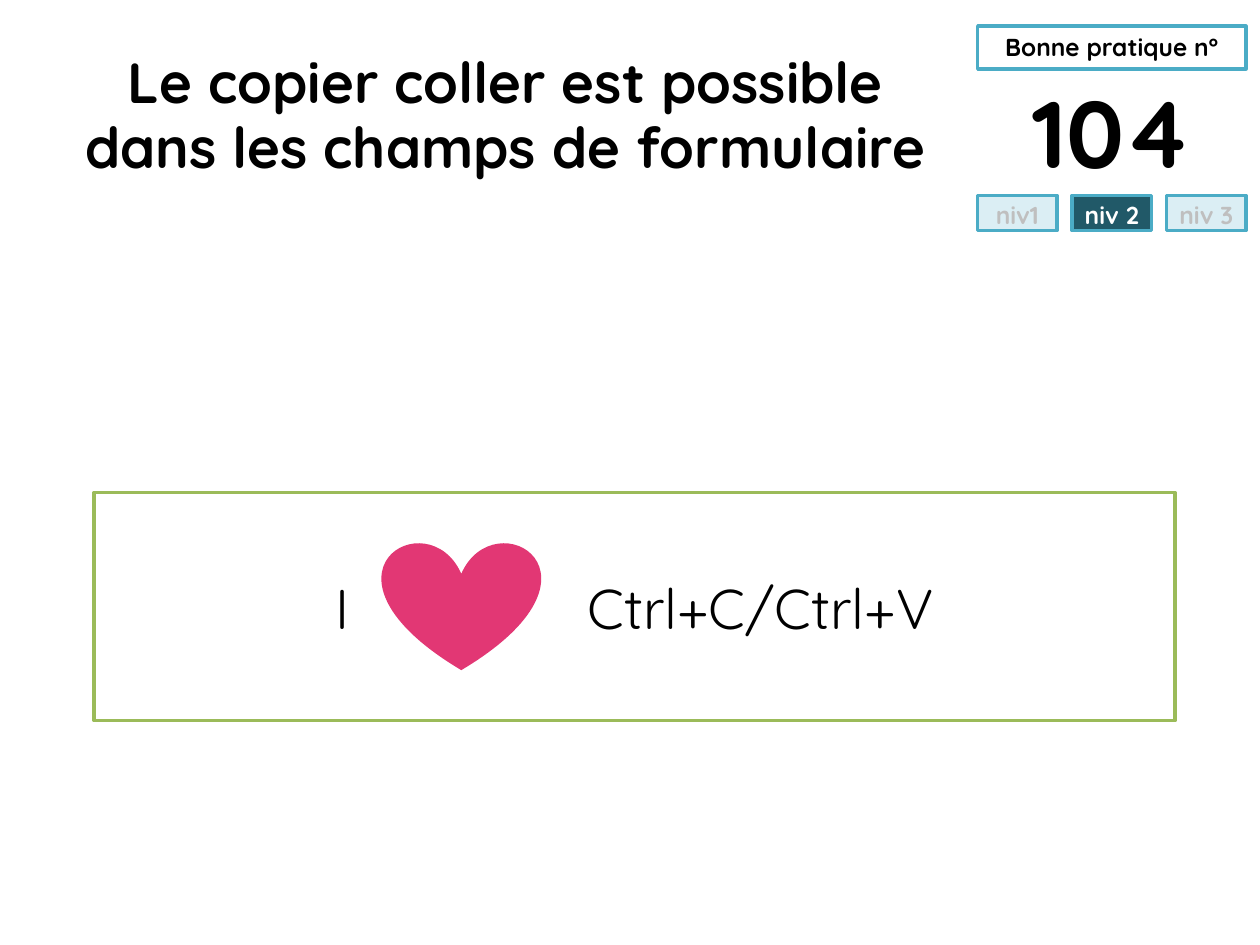
import pptx
import pptx.util
import pptx.dml.color
import pptx.enum.shapes
import pptx.enum.text
import pptx.oxml.ns
from lxml import etree

Cm, Pt = pptx.util.Cm, pptx.util.Pt
SHAPE = pptx.enum.shapes.MSO_SHAPE
ANCHOR = pptx.enum.text.MSO_ANCHOR

# Content
TITLE = "Le copier coller est possible dans les champs de formulaire"
BADGE_LABEL = "Bonne pratique n°"
BADGE_NUMBER = "104"
LEVELS = ["niv1", "niv 2", "niv 3"]
ACTIVE_LEVEL = "niv 2"
MESSAGE = "I\tCtrl+C/Ctrl+V"

THEME = {
    "font": "Quicksand",
    "text": "000000", "paper": "FFFFFF", "badge": "4BACC6",
    "level_on": "215968", "level_off": "DBEEF4", "level_off_text": "BFBFBF",
    "frame": "9BBB59", "heart": "E23774",
    "title_size": 32.4, "number_size": 54, "message_size": 32, "label_size": 14,
}

# Layout in centimetres
BADGE_LEFT, BADGE_WIDTH = 19.71, 5.41
LEVEL_WIDTH = 1.6
LEVEL_STEP = (BADGE_WIDTH - LEVEL_WIDTH) / (len(LEVELS) - 1)
MESSAGE_TAB = 5.08


def rgb(name):
    return pptx.dml.color.RGBColor.from_string(THEME[name])


def add_box(s, box, fill=None, line=None, shape=SHAPE.RECTANGLE):
    sp = s.shapes.add_shape(shape, *(Cm(v) for v in box))
    sp.shadow.inherit = False
    if fill:
        sp.fill.solid()
        sp.fill.fore_color.rgb = rgb(fill)
    else:
        sp.fill.background()
    if line:
        sp.line.color.rgb = rgb(line)
        sp.line.width = Pt(2)
    else:
        sp.line.fill.background()
    return sp


def add_text(sp, text, size, color="text", bold=True, anchor=ANCHOR.TOP, inset=None):
    tf = sp.text_frame
    tf.word_wrap = True
    tf.vertical_anchor = anchor
    if inset is not None:
        tf.margin_left = tf.margin_right = tf.margin_top = tf.margin_bottom = Cm(inset)
    p = tf.paragraphs[0]
    p.alignment = pptx.enum.text.PP_ALIGN.CENTER
    r = p.add_run()
    r.text = text
    r.font.name = THEME["font"]
    r.font.size = Pt(THEME[size])
    r.font.bold = bold
    r.font.color.rgb = rgb(color)
    return p


def add_tab_stop(p, position):
    qn = pptx.oxml.ns.qn
    tabs = etree.SubElement(p._p.get_or_add_pPr(), qn("a:tabLst"))
    etree.SubElement(tabs, qn("a:tab"), pos=str(Cm(position)), algn="l")


def main():
    prs = pptx.Presentation()
    prs.slide_width, prs.slide_height = Cm(25.4), Cm(19.05)
    s = prs.slides.add_slide(prs.slide_layouts[6])

    # Practice badge
    sp = add_box(s, (BADGE_LEFT, 0.53, BADGE_WIDTH, 0.86), "paper", "badge")
    add_text(sp, BADGE_LABEL, "label_size")
    sp = add_box(s, (BADGE_LEFT, 1.37, BADGE_WIDTH, 2.54))
    add_text(sp, BADGE_NUMBER, "number_size")

    # Level indicators
    for i, level in enumerate(LEVELS):
        active = level == ACTIVE_LEVEL
        sp = add_box(s, (BADGE_LEFT + i * LEVEL_STEP, 3.94, LEVEL_WIDTH, 0.71),
                     "level_on" if active else "level_off", "badge")
        add_text(sp, level, "label_size", "paper" if active else "level_off_text", inset=0.1)

    # Title
    sp = add_box(s, (1.27, 0.76, 17.83, 3.18))
    p = add_text(sp, TITLE, "title_size", anchor=ANCHOR.MIDDLE)
    p.line_spacing = 0.95

    # Framed message, with the heart in the gap left by the tab
    sp = add_box(s, (1.9, 9.93, 21.79, 4.6), "paper", "frame")
    p = add_text(sp, MESSAGE, "message_size", bold=False, anchor=ANCHOR.MIDDLE)
    add_tab_stop(p, MESSAGE_TAB)
    add_box(s, (7.7, 10.92, 3.2, 2.59), "heart", shape=SHAPE.HEART)

    prs.save("out.pptx")


if __name__ == "__main__":
    main()
